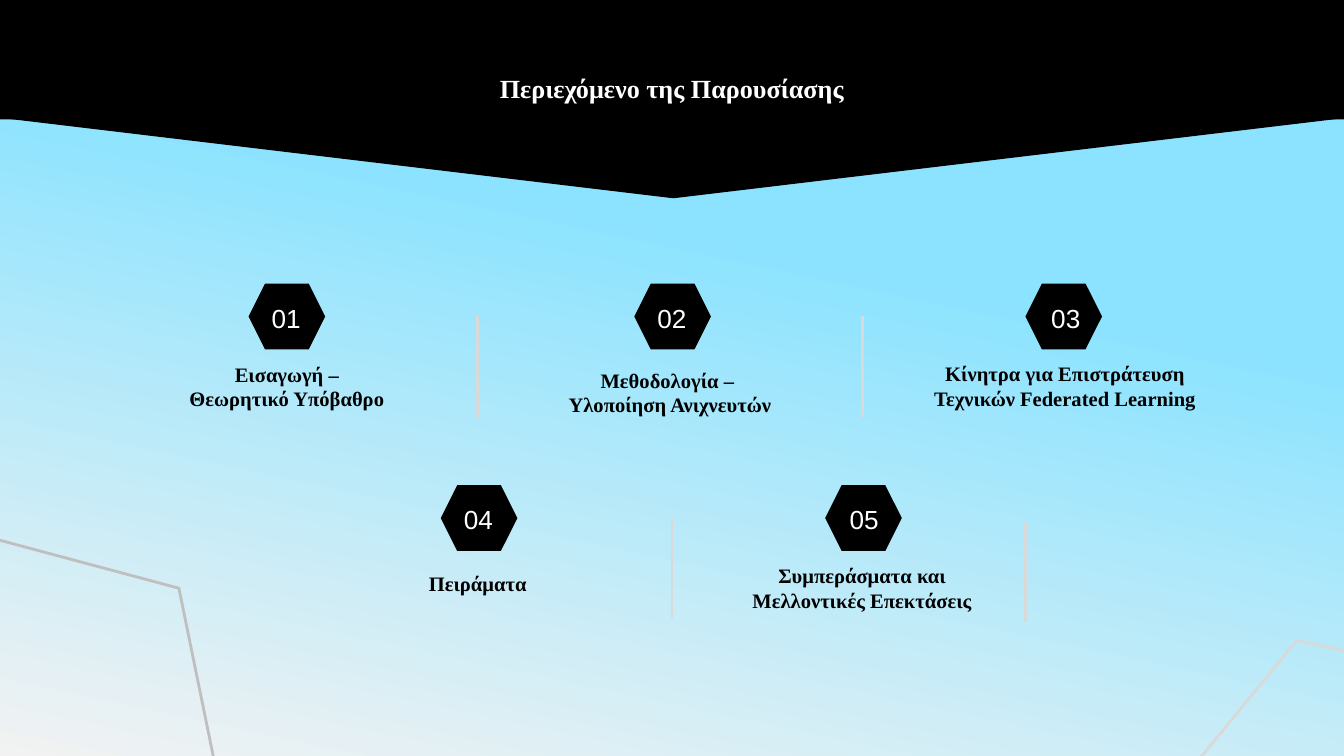
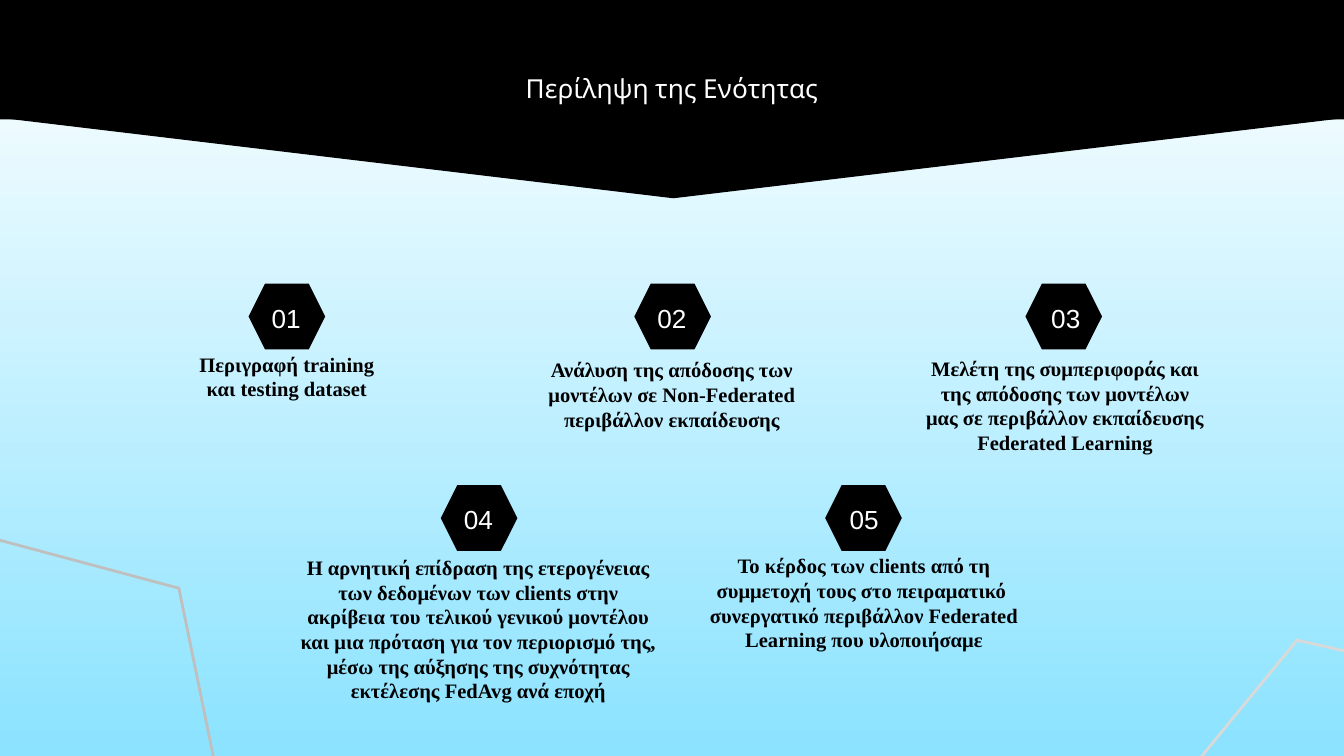
from lxml import etree
from pptx import Presentation
from pptx.dml.color import RGBColor
from pptx.enum.shapes import MSO_CONNECTOR, MSO_SHAPE
from pptx.enum.text import MSO_ANCHOR, PP_ALIGN
from pptx.oxml.ns import qn
from pptx.util import Inches, Pt

BLACK = RGBColor(0x00, 0x00, 0x00)
WHITE = RGBColor(0xFF, 0xFF, 0xFF)
SKY = RGBColor(0x8B, 0xE3, 0xFF)
PALE = RGBColor(0xF2, 0xF2, 0xF2)
SILVER = RGBColor(0xD9, 0xD9, 0xD9)
GREY = RGBColor(0xBF, 0xBF, 0xBF)

# Content: each item is its caption and the caption's box (left, top, width, height)
SLIDES = [
    {
        "title": "Περιεχόμενο της Παρουσίασης",
        "title_font": {"name": "Times New Roman", "bold": True},
        "gradient": {"angle": 102, "stops": [(0.35, SKY), (1, PALE)]},
        "items": [
            ("Εισαγωγή – Θεωρητικό Υπόβαθρο", (1.26, 2.56, 1.75, 0.63)),
            ("Μεθοδολογία – \vΥλοποίηση Ανιχνευτών", (3.71, 2.65, 2.55, 0.54)),
            ("Κίνητρα για Επιστράτευση Τεχνικών Federated Learning",
             (6.65, 2.6, 2.55, 0.54)),
            ("Πειράματα", (2.68, 4.16, 1.75, 0.36)),
            ("Συμπεράσματα και Μελλοντικές Επεκτάσεις",
             (5.43, 4.16, 1.97, 0.43)),
        ],
        "dividers": [(3.55, 2.35), (6.42, 2.35), (5, 3.85), (7.63, 3.88)],
    },
    {
        "title": "Περίληψη της Ενότητας",
        "title_font": {"name": "League Spartan", "bold": False},
        "gradient": {"angle": 90, "stops": [(0, WHITE), (1, SKY)]},
        "items": [
            ("Περιγραφή training και testing dataset",
             (1.26, 2.53, 1.75, 0.54)),
            ("Ανάλυση της απόδοσης των μοντέλων σε Non-Federated "
             "περιβάλλον εκπαίδευσης", (3.81, 2.62, 2.38, 0.63)),
            ("Μελέτη της συμπεριφοράς και της απόδοσης των μοντέλων μας σε "
             "περιβάλλον εκπαίδευσης Federated Learning",
             (6.78, 2.7, 2.29, 0.63)),
            ("Η αρνητική επίδραση της ετερογένειας των δεδομένων των clients "
             "στην ακρίβεια του τελικού γενικού μοντέλου και μια πρόταση για "
             "τον περιορισμό της, μέσω της αύξησης της συχνότητας εκτέλεσης "
             "FedAvg ανά εποχή", (2.13, 4.04, 2.86, 1.28)),
            ("Το κέρδος των clients από τη συμμετοχή τους στο πειραματικό  "
             "συνεργατικό περιβάλλον Federated Learning που υλοποιήσαμε",
             (5.08, 4.05, 2.7, 0.87)),
        ],
        "dividers": [],
    },
]

# Shared layout and styles
BADGES = [(1.85, 2.11), (4.72, 2.11), (7.63, 2.11), (3.28, 3.61), (6.14, 3.61)]
BADGE_SIZE = (0.57, 0.49)
NUMBERS = [(1.72, 2.2), (4.59, 2.2), (7.52, 2.2), (3.15, 3.7), (6.02, 3.7)]
NUMBER_SIZE = (0.82, 0.33)
TITLE_BOX = (3.37, 0.44, 3.26, 0.75)
DIVIDER_LENGTH = 0.75
CORNERS = [((-1.56, 4.08, 3.23, 2.53), 15, GREY),
           ((8.39, 5.06, 3.23, 2.53), 309.4, SILVER)]
TITLE_FONT = {"size": Pt(14), "color": WHITE}
NUMBER_FONT = {"name": "Arial", "size": Pt(14), "color": WHITE}
CAPTION_FONT = {"name": "Times New Roman", "size": Pt(11), "bold": True,
                "color": BLACK}


def inches(box):
    return [Inches(v) for v in box]


def add_shape(s, kind, box, fill=None, line=None, width=1.5, rotation=0):
    sp = s.shapes.add_shape(kind, *inches(box))
    sp.shadow.inherit = False
    sp.rotation = rotation
    if fill is None:
        sp.fill.background()
    else:
        sp.fill.solid()
        sp.fill.fore_color.rgb = fill
    if line is None:
        sp.line.fill.background()
    else:
        sp.line.color.rgb = line
        sp.line.width = Pt(width)


def add_text(s, text, box, font, anchor=MSO_ANCHOR.MIDDLE):
    tf = s.shapes.add_textbox(*inches(box)).text_frame
    frame = {"word_wrap": True, "vertical_anchor": anchor}
    for side in ("left", "right", "top", "bottom"):
        frame[f"margin_{side}"] = Inches(0.1)
    for name, value in frame.items():
        setattr(tf, name, value)
    p = tf.paragraphs[0]
    p.text = text
    p.alignment = PP_ALIGN.CENTER
    for r in p.runs:
        for name, value in font.items():
            if name == "color":
                r.font.color.rgb = value
            else:
                setattr(r.font, name, value)


def add_divider(s, x, y):
    line = s.shapes.add_connector(
        MSO_CONNECTOR.STRAIGHT, *inches((x, y, x, y + DIVIDER_LENGTH)))
    line.line.color.rgb = SILVER
    line.line.width = Pt(1.5)
    etree.SubElement(line._element.spPr, qn("a:effectLst"))


def set_background(s, gradient):
    fill = s.background.fill
    fill.gradient()
    fill.gradient_angle = 360 - gradient["angle"]
    for stop, (position, color) in zip(fill.gradient_stops, gradient["stops"]):
        stop.position = position
        stop.color.rgb = color


def add_frame(s, title, title_font):
    # Badges
    for x, y in BADGES:
        add_shape(s, MSO_SHAPE.HEXAGON, (x, y, *BADGE_SIZE), fill=BLACK)
    # Header band with its downward point
    add_shape(s, MSO_SHAPE.ISOSCELES_TRIANGLE, (-0.01, 0.87, 10.04, 0.6),
              fill=BLACK, line=BLACK, width=0.75, rotation=180)
    add_shape(s, MSO_SHAPE.RECTANGLE, (-0.01, -0.04, 10.04, 0.93), fill=BLACK)
    add_text(s, title, TITLE_BOX, TITLE_FONT | title_font, MSO_ANCHOR.TOP)
    # Corner outlines
    for box, rotation, color in CORNERS:
        add_shape(s, MSO_SHAPE.HEXAGON, box, line=color, rotation=rotation)


def build_slide(prs, content):
    s = prs.slides.add_slide(prs.slide_layouts[6])
    set_background(s, content["gradient"])
    add_frame(s, content["title"], content["title_font"])
    # Numbers and captions
    for i, (corner, (caption, box)) in enumerate(
            zip(NUMBERS, content["items"]), 1):
        add_text(s, f"{i:02}", (*corner, *NUMBER_SIZE), NUMBER_FONT)
        add_text(s, caption, box, CAPTION_FONT)
    for x, y in content["dividers"]:
        add_divider(s, x, y)


def main():
    prs = Presentation()
    # 16:9 page
    prs.slide_width = Inches(10)
    prs.slide_height = Inches(10 * 9 / 16)
    for content in SLIDES:
        build_slide(prs, content)
    prs.save("out.pptx")


if __name__ == "__main__":
    main()
